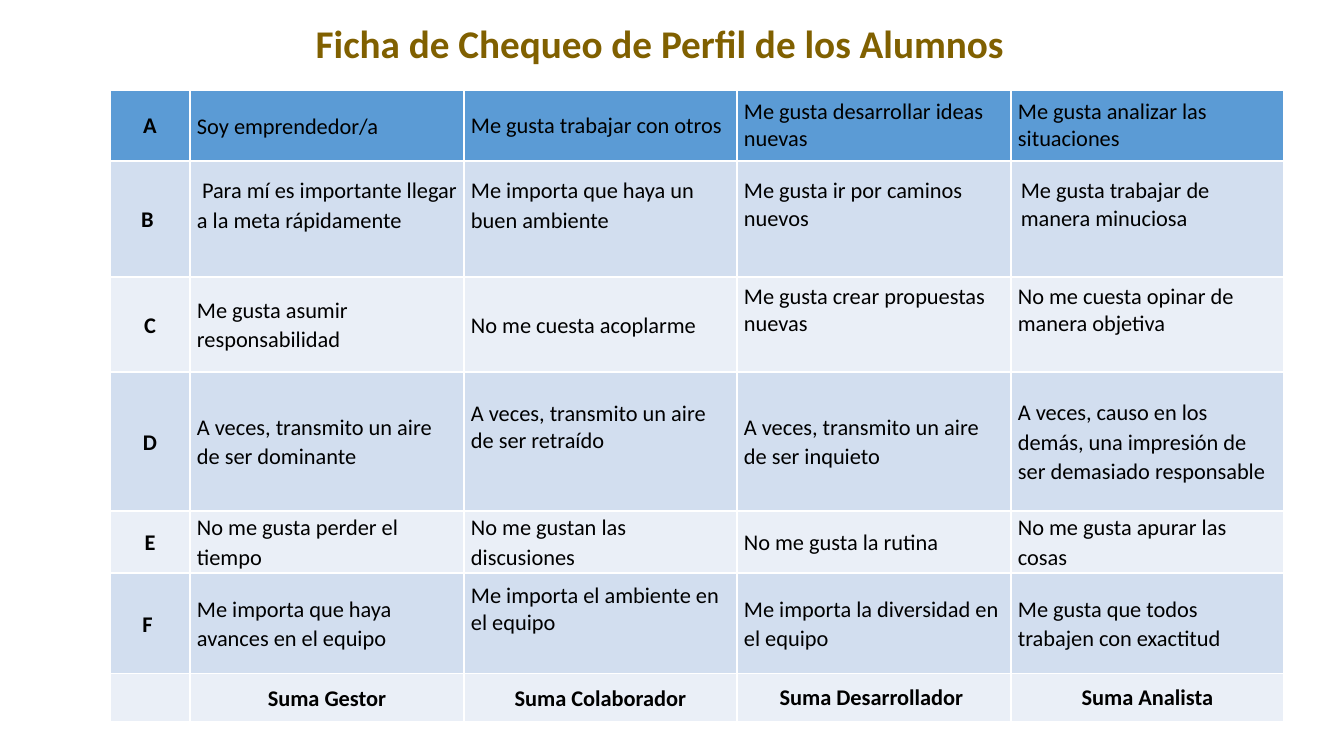
"""Build the student profile checklist slide."""
from pptx import Presentation
from pptx.dml.color import RGBColor
from pptx.enum.text import MSO_ANCHOR, PP_ALIGN
from pptx.util import Pt

TITLE = " Ficha de Chequeo de Perfil de los Alumnos"
STATEMENTS = [
    ("A", "Soy emprendedor/a", "Me gusta trabajar con otros",
     "Me gusta desarrollar ideas nuevas", "Me gusta analizar las situaciones"),
    ("B ", " Para mí es importante llegar a la meta rápidamente",
     "Me importa que haya un buen ambiente",
     "Me gusta ir por caminos nuevos", "Me gusta trabajar de manera minuciosa"),
    ("C", "Me gusta asumir responsabilidad", "No me cuesta acoplarme",
     "Me gusta crear propuestas nuevas", "No me cuesta opinar de manera objetiva"),
    ("D", "A veces, transmito un aire de ser dominante",
     "A veces, transmito un aire de ser retraído",
     "A veces, transmito un aire de ser inquieto",
     "A veces, causo en los demás, una impresión de ser demasiado responsable"),
    ("E", "No me gusta perder el tiempo", "No me gustan las discusiones",
     "No me gusta la rutina", "No me gusta apurar las cosas"),
    ("F ", "Me importa que haya avances en el equipo",
     "Me importa el ambiente en el equipo",
     "Me importa la diversidad en el equipo",
     "Me gusta que todos trabajen con exactitud"),
    ("", "Suma Gestor", "Suma Colaborador", "Suma Desarrollador ", "Suma Analista"),
]
COLUMN_WIDTHS = (80, 274, 273, 274, 273)
ROW_HEIGHTS = (71, 116, 95, 139, 62, 101, 48)
RAISED = {(1, 1), (1, 2), (1, 3), (1, 4), (2, 3), (2, 4), (3, 2), (5, 2)}
SINGLE_SPACED = {(0, 0), (0, 2), (0, 3), (0, 4), (1, 3), (1, 4), (2, 3),
                 (2, 4), (3, 2), (5, 2), (6, 3), (6, 4)}
WIDE_MARGIN = (1, 4)

PX = 9071
LIFT = 28
FONT = "Calibri"
GOLD = RGBColor(0x80, 0x60, 0x00)
BLACK = RGBColor(0x00, 0x00, 0x00)
HEADER_BLUE = RGBColor(0x5B, 0x9B, 0xD5)
BANDS = (RGBColor(0xEA, 0xEF, 0xF7), RGBColor(0xD2, 0xDE, 0xEF))
MIDDLE = MSO_ANCHOR.MIDDLE
CENTER = PP_ALIGN.CENTER
LEFT = PP_ALIGN.LEFT


def px(length):
    return length * PX


def style_text(paragraph, size, color, bold):
    for run in paragraph.runs:
        run.font.name = FONT
        run.font.size = Pt(size)
        run.font.bold = bold
        run.font.color.rgb = color


def fill_cell(cell, place, statement):
    row, column = place
    cell.fill.solid()
    cell.fill.fore_color.rgb = BANDS[row % 2] if row else HEADER_BLUE
    cell.vertical_anchor = MIDDLE
    cell.margin_left = cell.margin_right = px(10 if place == WIDE_MARGIN else 7)
    cell.margin_top = 0
    cell.margin_bottom = px(LIFT if place in RAISED else 0)
    cell.text_frame.text = statement
    paragraph = cell.text_frame.paragraphs[0]
    emphasized = column == 0 or row == len(STATEMENTS) - 1
    paragraph.alignment = CENTER if emphasized else LEFT
    paragraph.line_spacing = 1.0 if place in SINGLE_SPACED else 1.07
    style_text(paragraph, 16, BLACK, emphasized)


def main():
    deck = Presentation()
    deck.slide_width, deck.slide_height = px(1344), px(756)
    slide = deck.slides.add_slide(deck.slide_layouts[6])

    checklist = slide.shapes.add_table(
        len(ROW_HEIGHTS), len(COLUMN_WIDTHS), px(110), px(90),
        px(sum(COLUMN_WIDTHS)), px(sum(ROW_HEIGHTS))).table
    for column, width in zip(checklist.columns, COLUMN_WIDTHS):
        column.width = px(width)
    for row, height in zip(checklist.rows, ROW_HEIGHTS):
        row.height = px(height)
    for row, statements in enumerate(STATEMENTS):
        for column, statement in enumerate(statements):
            fill_cell(checklist.cell(row, column), (row, column), statement)

    title = slide.shapes.add_textbox(px(297), px(14), px(747), px(57)).text_frame
    title.word_wrap = True
    title.text = TITLE
    style_text(title.paragraphs[0], 28, GOLD, True)

    deck.save("out.pptx")


if __name__ == "__main__":
    main()
